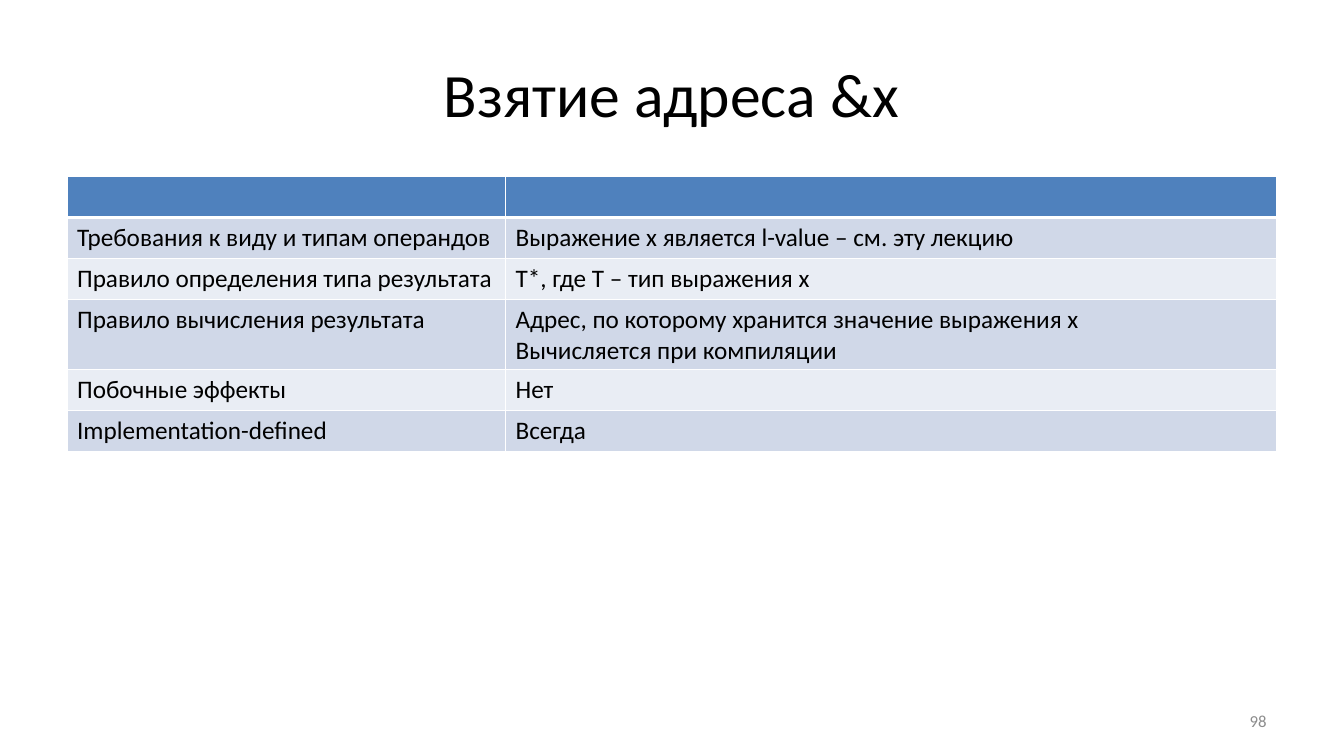
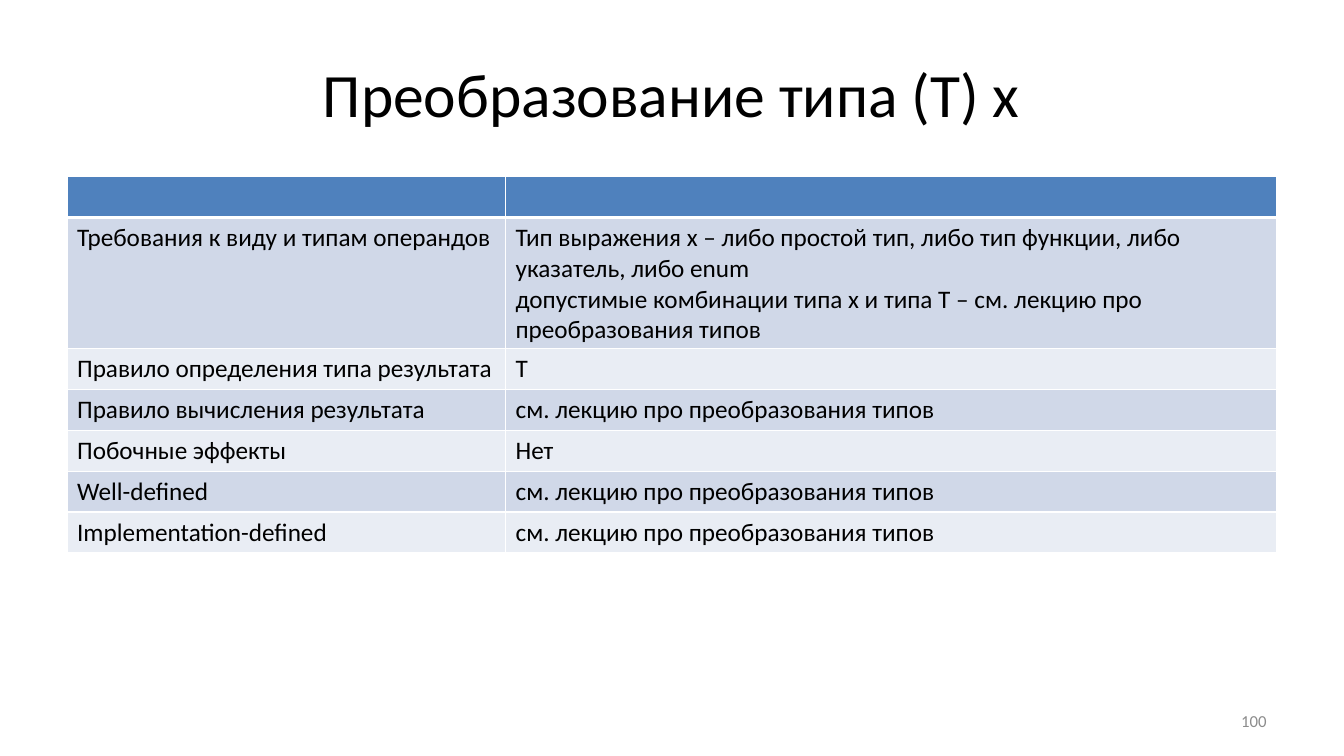
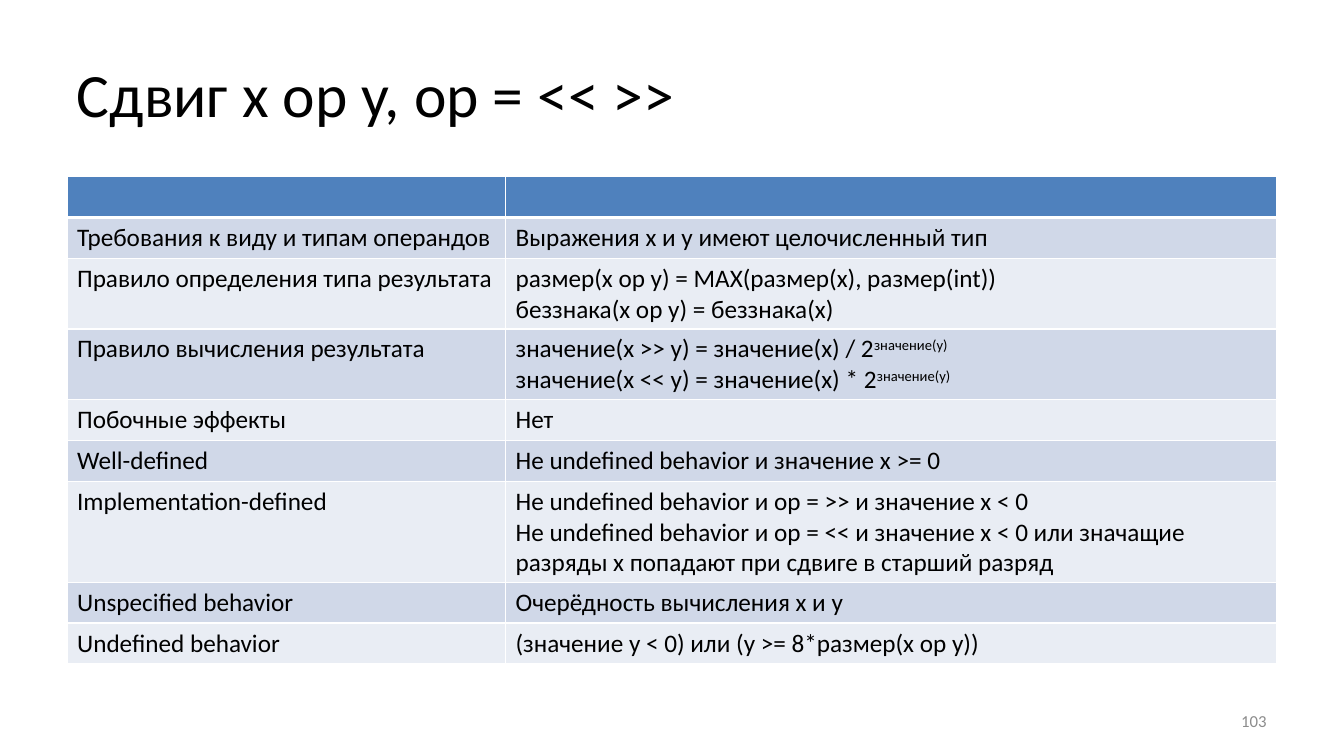
from lxml.etree import SubElement
from pptx import Presentation
from pptx.dml.color import RGBColor
from pptx.enum.text import MSO_VERTICAL_ANCHOR as Anchor, PP_PARAGRAPH_ALIGNMENT as Align
from pptx.oxml.ns import qn
from pptx.util import Cm, Pt

BLACK = RGBColor(0x00, 0x00, 0x00)
GRAY = RGBColor(0x8C, 0x8C, 0x8C)
WHITE = RGBColor(0xFF, 0xFF, 0xFF)
HEADER = RGBColor(0x4F, 0x81, 0xBD)
BANDS = (RGBColor(0xE9, 0xED, 0xF4), RGBColor(0xD0, 0xD8, 0xE8))
FONT = "Calibri"

LEFT, WIDTH = Cm(1.69), Cm(30.48)
COLUMN_WIDTHS = (Cm(11.05), Cm(19.43))
ROW_HEIGHT = Cm(1.03)
NUMBER_WIDTH = Cm(7.9)

REQUIREMENTS = "Требования к виду и типам операндов"
RESULT_TYPE = "Правило определения типа результата"
RESULT_VALUE = "Правило вычисления результата"
SIDE_EFFECTS = "Побочные эффекты"
WELL_DEFINED = "Well-defined"
IMPLEMENTATION = "Implementation-defined"
SEE_LECTURE = "см. лекцию про преобразования типов"

OPERATIONS = [
    ("Взятие адреса &х", Align.CENTER, 98, {
        REQUIREMENTS: "Выражение х является l-value – см. эту лекцию",
        RESULT_TYPE: "Т*, где Т – тип выражения х",
        RESULT_VALUE: "Адрес, по которому хранится значение выражения х\n"
                      "Вычисляется при компиляции",
        SIDE_EFFECTS: "Нет",
        IMPLEMENTATION: "Всегда",
    }),
    ("Преобразование типа (T) х", Align.CENTER, 100, {
        REQUIREMENTS: "Тип выражения x – либо простой тип, либо тип функции, либо указатель, либо enum\n"
                      "допустимые комбинации типа x и типа T – см. лекцию про преобразования типов",
        RESULT_TYPE: "Т",
        RESULT_VALUE: SEE_LECTURE,
        SIDE_EFFECTS: "Нет",
        WELL_DEFINED: SEE_LECTURE,
        IMPLEMENTATION: SEE_LECTURE,
    }),
    ("Сдвиг x op y, op = << >>", Align.LEFT, 103, {
        REQUIREMENTS: "Выражения х и у имеют целочисленный тип",
        RESULT_TYPE: "размер(х ор у) = МАХ(размер(х), размер(int))\n"
                     "беззнака(х ор у) = беззнака(х)",
        RESULT_VALUE: "значение(x >> у) = значение(x) / 2^значение(у)\n"
                      "значение(x << y) = значение(x) * 2^значение(у)",
        SIDE_EFFECTS: "Нет",
        WELL_DEFINED: "Не undefined behavior и значение х >= 0",
        IMPLEMENTATION: "Не undefined behavior и op = >> и значение х < 0\n"
                        "Не undefined behavior и op = << и значение х < 0 "
                        "или значащие разряды x попадают при сдвиге в старший разряд",
        "Unspecified behavior": "Очерёдность вычисления х и у",
        "Undefined behavior": "(значение у < 0) или (y >= 8*размер(х ор у))",
    }),
]


def write(frame, text, size=18, color=BLACK, align=Align.LEFT, anchor=Anchor.TOP):
    frame.word_wrap = True
    frame.vertical_anchor = anchor
    for index, line in enumerate(text.split("\n")):
        paragraph = frame.add_paragraph() if index else frame.paragraphs[0]
        paragraph.alignment = align
        for part, piece in enumerate(line.split("^")):
            run = paragraph.add_run()
            run.text = piece
            run.font.name = FONT
            run.font.size = Pt(size)
            run.font.color.rgb = color
            if part:
                run.font._element.set("baseline", "30000")


def style_cell(cell, fill, top, bottom):
    properties = cell._tc.get_or_add_tcPr()
    for side, points in (("L", 1), ("R", 1), ("T", top), ("B", bottom)):
        line = SubElement(properties, qn(f"a:ln{side}"), w=str(Pt(points)))
        solid = SubElement(line, qn("a:solidFill"))
        SubElement(solid, qn("a:srgbClr"), val=str(WHITE))
    cell.fill.solid()
    cell.fill.fore_color.rgb = fill


presentation = Presentation()
presentation.slide_width = Cm(33.87)
presentation.slide_height = Cm(19.05)

for title, title_align, number, rules in OPERATIONS:
    slide = presentation.slides.add_slide(presentation.slide_layouts[6])
    title_box = slide.shapes.add_textbox(LEFT, Cm(0.76), WIDTH, Cm(3.18))
    write(title_box.text_frame, title, size=44, align=title_align, anchor=Anchor.MIDDLE)

    rows = [("", ""), *rules.items()]
    table = slide.shapes.add_table(
        len(rows), 2, LEFT, Cm(4.45), WIDTH, ROW_HEIGHT * len(rows)).table
    for column, width in zip(table.columns, COLUMN_WIDTHS):
        column.width = width
    for row_index, texts in enumerate(rows):
        table.rows[row_index].height = ROW_HEIGHT
        fill = BANDS[row_index % 2] if row_index else HEADER
        for column_index, text in enumerate(texts):
            cell = table.cell(row_index, column_index)
            style_cell(cell, fill, top=3 if row_index == 1 else 1, bottom=1 if row_index else 3)
            if text:
                write(cell.text_frame, text)

    number_box = slide.shapes.add_textbox(
        LEFT + WIDTH - NUMBER_WIDTH, Cm(17.66), NUMBER_WIDTH, Cm(1.01))
    write(number_box.text_frame, str(number), size=12, color=GRAY,
          align=Align.RIGHT, anchor=Anchor.MIDDLE)

presentation.save("out.pptx")
